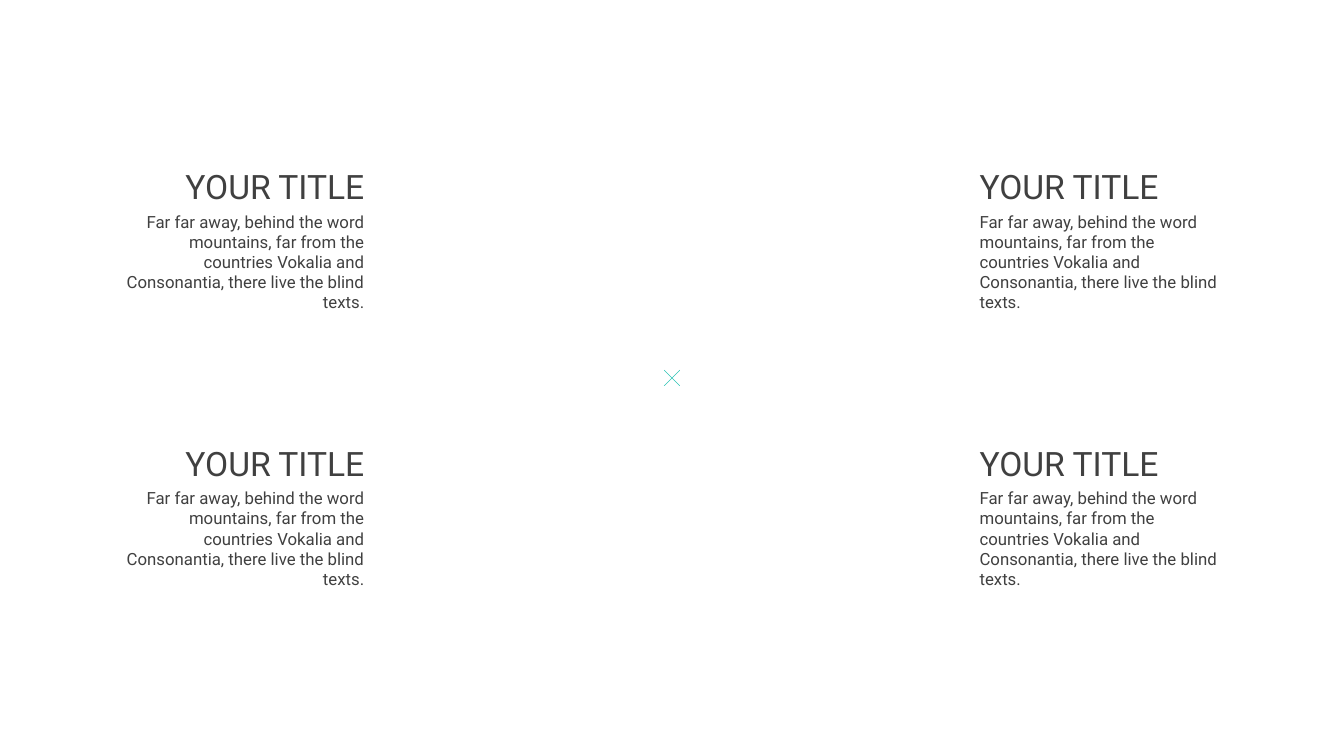
from dataclasses import dataclass
from pptx import Presentation
from pptx import util as u
from pptx.dml.color import RGBColor
from pptx.enum import shapes, text


@dataclass(frozen=True)
class Theme:
    font: str = "Roboto"
    ink: str = "404040"
    accent: str = "2EC4B6"
    outline: str = "FFFFFF"
    outline_width: int = 8
    heading_size: int = 24
    body_size: int = 12


class Page:
    COLUMNS = 100
    ROWS = 100

    def __init__(self, deck, theme):
        self.theme = theme
        self.slide = deck.slides.add_slide(deck.slide_layouts[6])
        self.column = deck.slide_width / self.COLUMNS
        self.row = deck.slide_height / self.ROWS

    def area(self, left, top, width, height):
        return (round(left * self.column), round(top * self.row),
                round(width * self.column), round(height * self.row))

    def text(self, parent, area, words, size, align, wrap):
        box = parent.shapes.add_textbox(*self.area(*area))
        frame = box.text_frame
        frame.word_wrap = wrap
        frame.auto_size = text.MSO_AUTO_SIZE.SHAPE_TO_FIT_TEXT
        para = frame.paragraphs[0]
        para.text = words
        para.alignment = align
        para.font.name = self.theme.font
        para.font.size = u.Pt(size)
        para.font.color.rgb = RGBColor.from_string(self.theme.ink)

    def text_block(self, left, top, width, heading, body, align):
        heading_width = 16.35
        shift = width - heading_width if align == text.PP_ALIGN.RIGHT else 0
        group = self.slide.shapes.add_group_shape()
        self.text(group, (left, top + 6, width, 14.8), body,
                  self.theme.body_size, align, True)
        self.text(group, (left + shift, top, heading_width, 6.67), heading,
                  self.theme.heading_size, align, False)

    def centred_shape(self, kind, width, height):
        shape = self.slide.shapes.add_shape(kind, *self.area(
            (self.COLUMNS - width) / 2, (self.ROWS - height) / 2, width, height))
        shape.shadow.inherit = False
        return shape

    def frame(self, width, height):
        frame = self.centred_shape(shapes.MSO_SHAPE.RECTANGLE, width, height)
        frame.fill.background()
        frame.line.color.rgb = RGBColor.from_string(self.theme.outline)
        frame.line.width = u.Pt(self.theme.outline_width)

    def cross(self, width, height):
        cross = self.centred_shape(shapes.MSO_SHAPE.CROSS, width, height)
        cross.adjustments[0] = 0.49
        cross.rotation = 45
        cross.fill.solid()
        cross.fill.fore_color.rgb = RGBColor.from_string(self.theme.accent)
        cross.line.fill.background()


HEADING = "YOUR TITLE"
BODY = ("Far far away, behind the word mountains, far from the countries "
        "Vokalia and Consonantia, there live the blind texts.")
MARGIN = 8.65
BLOCK_WIDTH = 19.2
SIDES = ((MARGIN, text.PP_ALIGN.RIGHT),
         (Page.COLUMNS - MARGIN - BLOCK_WIDTH, text.PP_ALIGN.LEFT))
TOPS = (21.33, 57.9)

deck = Presentation()
deck.slide_width = u.Inches(40 / 3)
deck.slide_height = u.Inches(7.5)

page = Page(deck, Theme())
page.frame(26.7, 47.47)
for left, align in SIDES:
    for top in TOPS:
        page.text_block(left, top, BLOCK_WIDTH, HEADING, BODY, align)
page.cross(1.65, 2.93)

deck.save("out.pptx")
